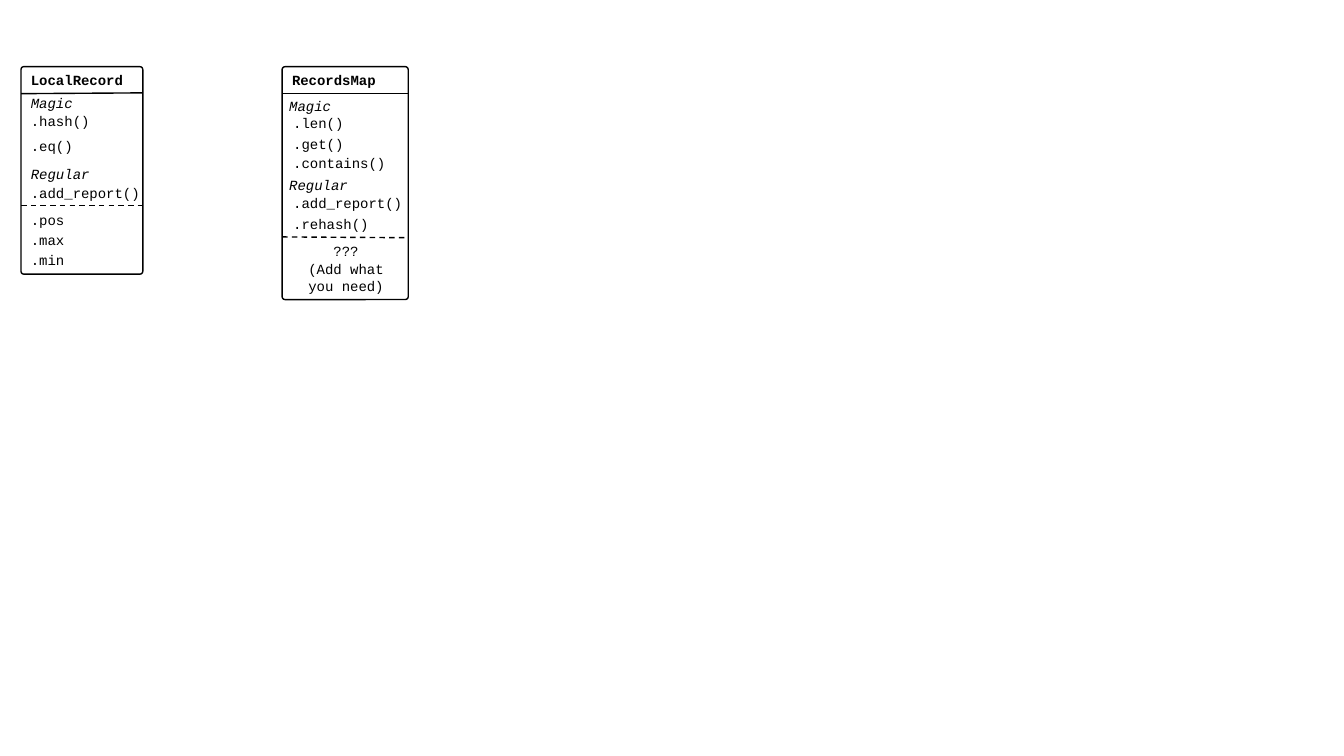
from pptx import Presentation
from pptx.dml.color import RGBColor
from pptx.enum.dml import MSO_LINE
from pptx.enum.shapes import MSO_CONNECTOR, MSO_SHAPE
from pptx.enum.text import MSO_AUTO_SIZE, PP_ALIGN
from pptx.oxml.ns import qn
from pptx.util import Cm, Pt
from lxml.etree import SubElement

# Content, lengths in cm. Row: text, top, width, style
CARDS = [
    {
        "left": 0.53, "wide": 3.07, "high": 5.23,
        "edge": {"title": 0, "group": 0, "item": 0},
        "rules": [(2.36, 2.34, False), (5.18, 5.18, True)],
        "rows": [
            ("LocalRecord", 1.68, 3.07, "title"),
            ("Magic", 2.26, 2.08, "group"),
            (".hash()", 2.72, 2.57, "item"),
            (".eq()", 3.33, 2.57, "item"),
            ("Regular", 4.04, 2.08, "group"),
            (".add_report()", 4.52, 3.45, "item"),
            (".pos", 5.21, 1.52, "item"),
            (".max", 5.72, 2.57, "item"),
            (".min", 6.22, 2.57, "item"),
        ],
    },
    {
        "left": 7.11, "wide": 3.18, "high": 5.87,
        "edge": {"title": 0, "group": -0.07, "item": 0.03, "note": 0.02},
        "rules": [(2.36, 2.36, False), (5.97, 5.99, True)],
        "rows": [
            ("RecordsMap", 1.68, 2.97, "title"),
            ("Magic", 2.34, 2.08, "group"),
            (".len()", 2.77, 3.43, "item"),
            (".get()", 3.28, 2.57, "item"),
            (".contains()", 3.78, 3.43, "item"),
            ("Regular", 4.32, 2.08, "group"),
            (".add_report()", 4.78, 3.35, "item"),
            (".rehash()", 5.31, 3.43, "item"),
            ("???", 5.99, 3.18, "note"),
            ("(Add what you need)", 6.45, 3.18, "note"),
        ],
    },
]
TOP = 1.68
ROW = 0.68
THEME = {"ink": RGBColor(0, 0, 0), "font": "Courier New",
         "size": Pt(10), "line": Pt(1), "round": 0.024}
STYLES = {"title": {"bold": True}, "group": {"italic": True},
          "item": {}, "note": {"align": PP_ALIGN.CENTER}}

deck = Presentation()
deck.slide_width, deck.slide_height = Cm(33.87), Cm(19.05)
slide = deck.slides.add_slide(deck.slide_layouts[6])


def write(text, left, top, width, bold=False, italic=False,
          align=PP_ALIGN.LEFT):
    box = slide.shapes.add_textbox(Cm(left), Cm(top), Cm(width), Cm(ROW))
    frame = box.text_frame
    frame.word_wrap = True
    frame.auto_size = MSO_AUTO_SIZE.SHAPE_TO_FIT_TEXT
    para = frame.paragraphs[0]
    para.alignment = align
    run = para.add_run()
    run.text = text
    font = run.font
    font.name, font.size = THEME["font"], THEME["size"]
    font.bold, font.italic = bold, italic
    font.color.rgb = THEME["ink"]


def ink(line):
    line.color.rgb = THEME["ink"]
    line.width = THEME["line"]


def rule(left, start, right, end, dash):
    line = slide.shapes.add_connector(
        MSO_CONNECTOR.STRAIGHT, Cm(left), Cm(start), Cm(right), Cm(end))
    ink(line.line)
    if dash:
        line.line.dash_style = MSO_LINE.DASH
    SubElement(line.element.spPr, qn("a:effectLst"))


for card in CARDS:
    left, wide = card["left"], card["wide"]
    # Frame
    frame = slide.shapes.add_shape(
        MSO_SHAPE.ROUNDED_RECTANGLE,
        Cm(left), Cm(TOP), Cm(wide), Cm(card["high"]))
    frame.adjustments[0] = THEME["round"]
    frame.shadow.inherit = False
    frame.fill.background()
    ink(frame.line)
    # Dividers
    for start, end, dash in card["rules"]:
        rule(left, start, left + wide, end, dash)
    # Members
    for text, top, width, style in card["rows"]:
        write(text, left + card["edge"][style], top, width, **STYLES[style])

deck.save("out.pptx")
